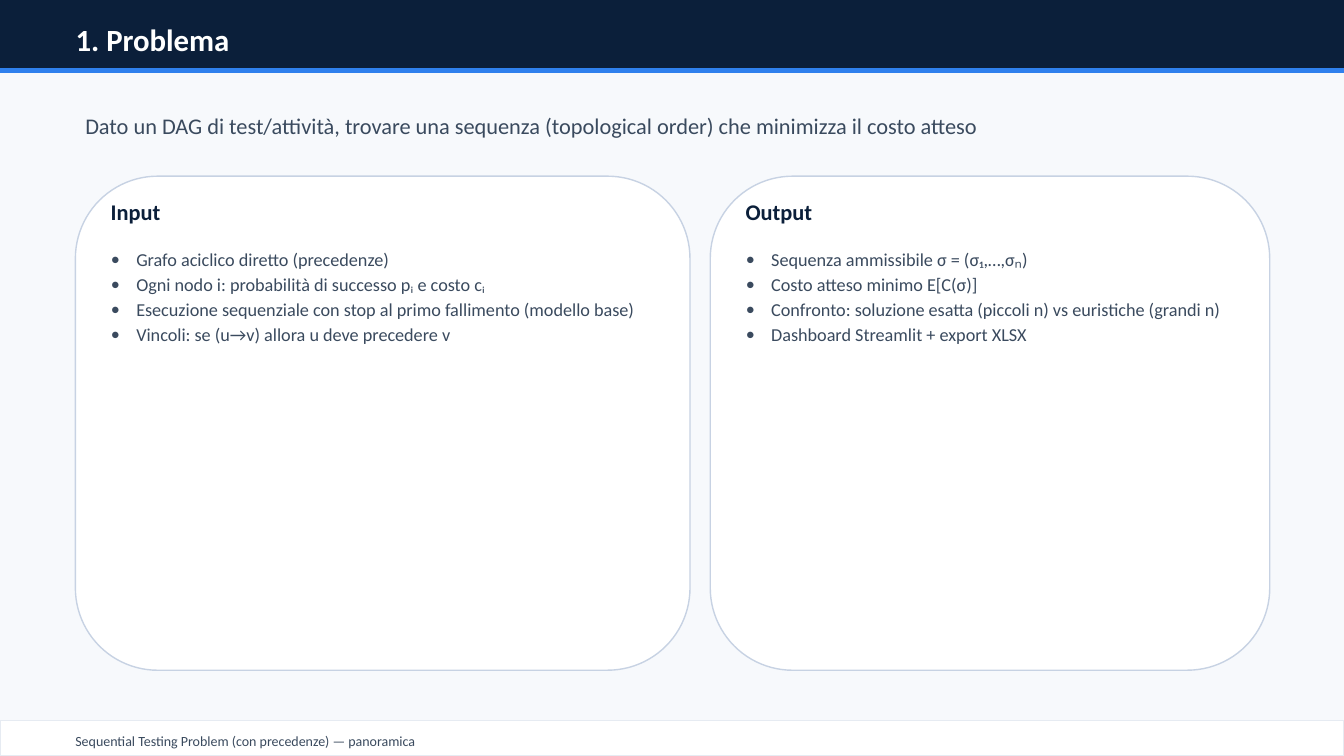
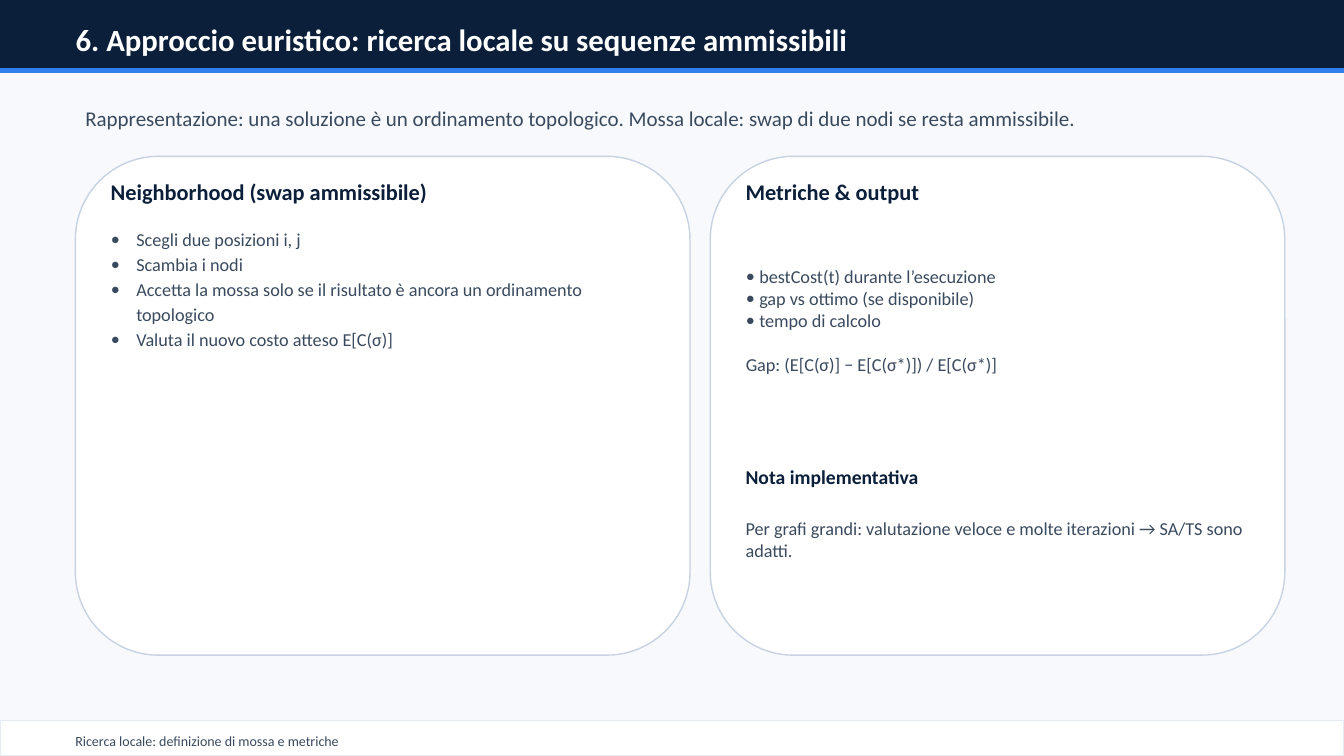
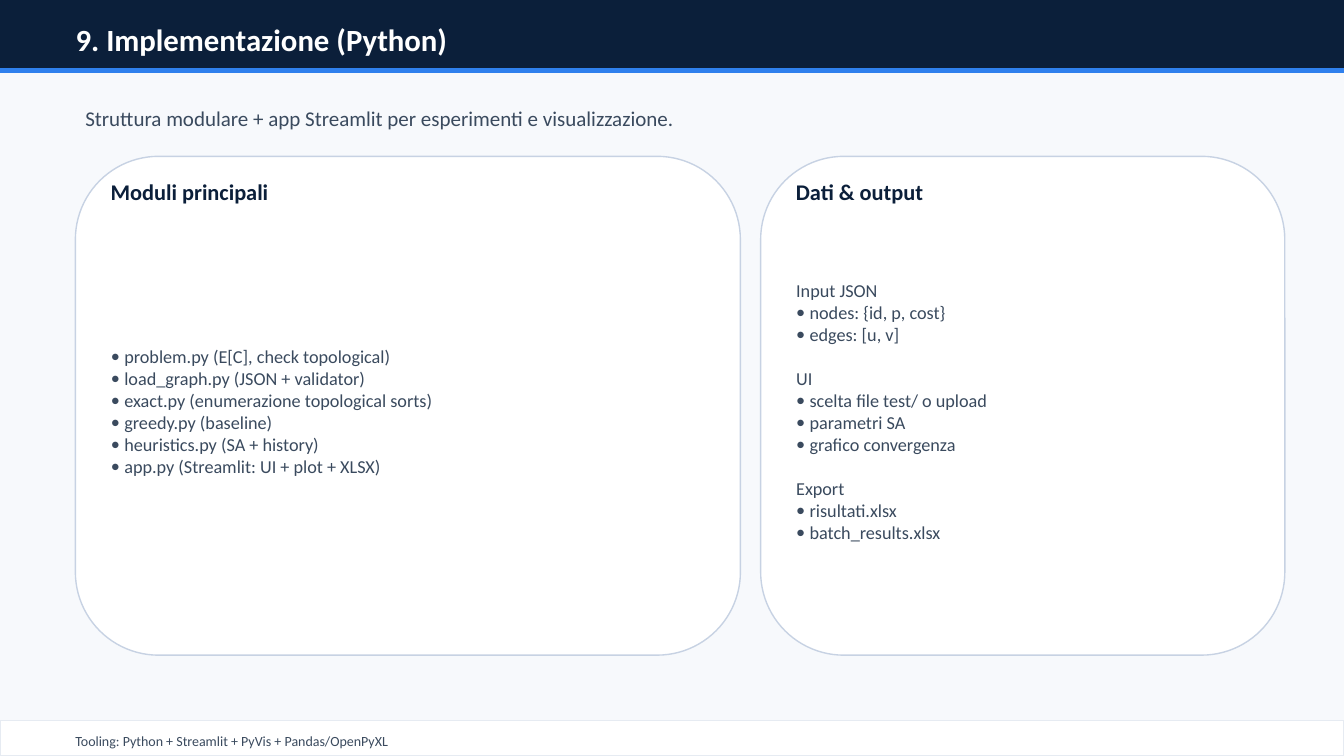
import dataclasses

import pptx
import pptx.dml.color
import pptx.enum.shapes
import pptx.enum.text
import pptx.util
from lxml import etree

Cm = pptx.util.Cm
Pt = pptx.util.Pt
Shape = pptx.enum.shapes.MSO_SHAPE
Anchor = pptx.enum.text.MSO_ANCHOR
DRAWING = "{http://schemas.openxmlformats.org/drawingml/2006/main}"


@dataclasses.dataclass(frozen=True)
class Theme:
    font: str = "Calibri"
    navy: str = "0B1F3A"
    blue: str = "2F80ED"
    white: str = "FFFFFF"
    slate: str = "3A4A5E"
    background: str = "F7F9FC"
    card_line: str = "C7D2E3"
    footer_line: str = "E6EBF2"
    title_size: int = 22
    lead_size: int = 16
    intro_size: int = 15
    heading_size: int = 16
    note_size: int = 14
    body_size: int = 13
    footer_size: int = 10
    group_gap: int = 16


THEME = Theme()
PAGE_WIDTH, PAGE_HEIGHT = Cm(33.87), Cm(19.05)
LEFT_EDGE, CARD_GAP = Cm(1.9), Cm(0.51)
CARD_INSET, HEADING_TOP, HEADING_HEIGHT = Cm(0.64), Cm(0.45), Cm(0.89)
LIST_TOP = Cm(1.6)
WIDE_HANG, TIGHT_HANG = Cm(0.64), Cm(0.34)


@dataclasses.dataclass
class Line:
    text: str
    hang: int = 0  # bullet indent; 0 means no bullet
    gap: int = 0  # points of space before


@dataclasses.dataclass
class Card:
    heading: str
    lines: list
    width: int
    list_height: int
    anchor: object = Anchor.MIDDLE
    spacing: float = 1.0
    note: tuple = ()


def bullets(*texts, hang=WIDE_HANG):
    return [Line(text, hang) for text in texts]


def groups(*parts):
    """Lines for (label, items) parts, with a gap between parts."""
    lines = []
    for label, items in parts:
        block = [Line(label)] if label else []
        block += bullets(*items, hang=TIGHT_HANG)
        if lines:
            block[0].gap = THEME.group_gap
        lines += block
    return lines


def color(code):
    return pptx.dml.color.RGBColor.from_string(code)


def set_bullet(para, hang):
    properties = para._p.get_or_add_pPr()
    properties.set("marL", str(int(hang)))
    properties.set("indent", str(-int(hang)))
    if hang:
        etree.SubElement(properties, DRAWING + "buFont", typeface=THEME.font)
        etree.SubElement(properties, DRAWING + "buChar", char="•")
    else:
        etree.SubElement(properties, DRAWING + "buNone")


def write(box, content, size=THEME.body_size, ink=THEME.slate, bold=False,
          anchor=Anchor.MIDDLE, spacing=1.0):
    """Fill a box with one string or a list of Line objects."""
    frame = box.text_frame
    frame.word_wrap = True
    frame.auto_size = pptx.enum.text.MSO_AUTO_SIZE.NONE
    frame.vertical_anchor = anchor
    lines = [Line(content)] if isinstance(content, str) else content
    for number, line in enumerate(lines):
        para = frame.add_paragraph() if number else frame.paragraphs[0]
        para.alignment = pptx.enum.text.PP_ALIGN.LEFT
        para.line_spacing = spacing
        para.space_before = Pt(line.gap)
        set_bullet(para, line.hang)
        span = para.add_run()
        span.text = line.text
        span.font.name = THEME.font
        span.font.size = Pt(size)
        span.font.bold = bold
        span.font.color.rgb = color(ink)


def add_text(page, left, top, width, height, content, **text_format):
    write(page.shapes.add_textbox(left, top, width, height), content, **text_format)


def add_panel(page, kind, left, top, width, height, fill, line):
    panel = page.shapes.add_shape(kind, left, top, width, height)
    panel.shadow.inherit = False
    panel.fill.solid()
    panel.fill.fore_color.rgb = color(fill)
    panel.line.color.rgb = color(line)
    panel.line.width = Pt(1)
    return panel


def place(page, holder, left, top, width, height):
    """Move a placeholder to a box and bring it to the front."""
    holder.left, holder.top, holder.width, holder.height = left, top, width, height
    page.shapes._spTree.append(holder._element)


def share_frame(page):
    """Give the page's layout the background and the bands that all pages show."""
    layout = page.slide_layout
    layout.background.fill.solid()
    layout.background.fill.fore_color.rgb = color(THEME.background)
    bands = [
        (0, Cm(1.83), THEME.navy, THEME.navy),
        (Cm(1.73), Cm(0.1), THEME.blue, THEME.blue),
        (Cm(18.16), Cm(0.89), THEME.white, THEME.footer_line),
    ]
    for top, height, fill, line in bands:
        band = add_panel(page, Shape.RECTANGLE, 0, top, PAGE_WIDTH, height, fill, line)
        layout.shapes._spTree.append(band._element)


def add_card(page, holder, card, left, top, height):
    add_panel(page, Shape.ROUNDED_RECTANGLE, left, top, card.width, height,
              THEME.white, THEME.card_line)
    inner_left, inner_width = left + CARD_INSET, card.width - 2 * CARD_INSET
    add_text(page, inner_left, top + HEADING_TOP, inner_width, HEADING_HEIGHT,
             card.heading, size=THEME.heading_size, ink=THEME.navy, bold=True)
    place(page, holder, inner_left, top + LIST_TOP, inner_width, card.list_height)
    write(holder, card.lines, anchor=card.anchor, spacing=card.spacing)
    if card.note:
        heading, text = card.note
        add_text(page, inner_left, top + Cm(7.62), inner_width, HEADING_HEIGHT,
                 heading, size=THEME.note_size, ink=THEME.navy, bold=True)
        add_text(page, inner_left, top + Cm(8.64), inner_width, Cm(2.03), text)


def add_page(deck, title, intro, footer, cards, intro_size=THEME.intro_size,
             intro_height=Cm(1.14), card_top=Cm(3.94), card_height=Cm(12.57)):
    page = deck.slides.add_slide(deck.slide_layouts.get_by_name("Two Content"))
    heading, *holders = page.placeholders
    place(page, heading, Cm(1.65), Cm(0.41), Cm(30.56), Cm(1.14))
    write(heading, title, size=THEME.title_size, ink=THEME.white, bold=True)
    add_text(page, LEFT_EDGE, Cm(2.41), Cm(30.48), intro_height, intro, size=intro_size)
    left = LEFT_EDGE
    for holder, card in zip(holders, cards):
        add_card(page, holder, card, left, card_top, card_height)
        left += card.width + CARD_GAP
    add_text(page, Cm(1.65), Cm(18.34), Cm(30.56), Cm(0.64), footer,
             size=THEME.footer_size)
    return page


def main():
    deck = pptx.Presentation()
    deck.slide_width, deck.slide_height = PAGE_WIDTH, PAGE_HEIGHT
    airy = {"list_height": Cm(10.3), "anchor": Anchor.TOP, "spacing": 1.15}

    first_page = add_page(
        deck,
        "1. Problema",
        "Dato un DAG di test/attività, trovare una sequenza (topological order) "
        "che minimizza il costo atteso",
        "Sequential Testing Problem (con precedenze) — panoramica",
        [
            Card("Input", bullets(
                "Grafo aciclico diretto (precedenze)",
                "Ogni nodo i: probabilità di successo pᵢ e costo cᵢ",
                "Esecuzione sequenziale con stop al primo fallimento (modello base)",
                "Vincoli: se (u→v) allora u deve precedere v",
            ), Cm(15.49), **airy),
            Card("Output", bullets(
                "Sequenza ammissibile σ = (σ₁,…,σₙ)",
                "Costo atteso minimo E[C(σ)]",
                "Confronto: soluzione esatta (piccoli n) vs euristiche (grandi n)",
                "Dashboard Streamlit + export XLSX",
            ), Cm(14.1), **airy),
        ],
        intro_size=THEME.lead_size, intro_height=Cm(1.52),
        card_top=Cm(4.44), card_height=Cm(12.45),
    )
    share_frame(first_page)

    add_page(
        deck,
        "6. Approccio euristico: ricerca locale su sequenze ammissibili",
        "Rappresentazione: una soluzione è un ordinamento topologico. "
        "Mossa locale: swap di due nodi se resta ammissibile.",
        "Ricerca locale: definizione di mossa e metriche",
        [
            Card("Neighborhood (swap ammissibile)", bullets(
                "Scegli due posizioni i, j",
                "Scambia i nodi",
                "Accetta la mossa solo se il risultato è ancora un ordinamento topologico",
                "Valuta il nuovo costo atteso E[C(σ)]",
            ), Cm(15.49), **airy),
            Card("Metriche & output", groups(
                ("", ["bestCost(t) durante l’esecuzione",
                      "gap vs ottimo (se disponibile)",
                      "tempo di calcolo"]),
                ("Gap: (E[C(σ)] − E[C(σ*)]) / E[C(σ*)]", []),
            ), Cm(14.48), Cm(5.08), note=(
                "Nota implementativa",
                "Per grafi grandi: valutazione veloce e molte iterazioni → SA/TS sono adatti.",
            )),
        ],
    )

    add_page(
        deck,
        "9. Implementazione (Python)",
        "Struttura modulare + app Streamlit per esperimenti e visualizzazione.",
        "Tooling: Python + Streamlit + PyVis + Pandas/OpenPyXL",
        [
            Card("Moduli principali", bullets(
                "problem.py (E[C], check topological)",
                "load_graph.py (JSON + validator)",
                "exact.py (enumerazione topological sorts)",
                "greedy.py (baseline)",
                "heuristics.py (SA + history)",
                "app.py (Streamlit: UI + plot + XLSX)",
                hang=TIGHT_HANG,
            ), Cm(16.76), Cm(9.65)),
            Card("Dati & output", groups(
                ("Input JSON", ["nodes: {id, p, cost}", "edges: [u, v]"]),
                ("UI", ["scelta file test/ o upload", "parametri SA",
                        "grafico convergenza"]),
                ("Export", ["risultati.xlsx", "batch_results.xlsx"]),
            ), Cm(13.21), Cm(9.65)),
        ],
    )
    deck.save("out.pptx")


if __name__ == "__main__":
    main()
